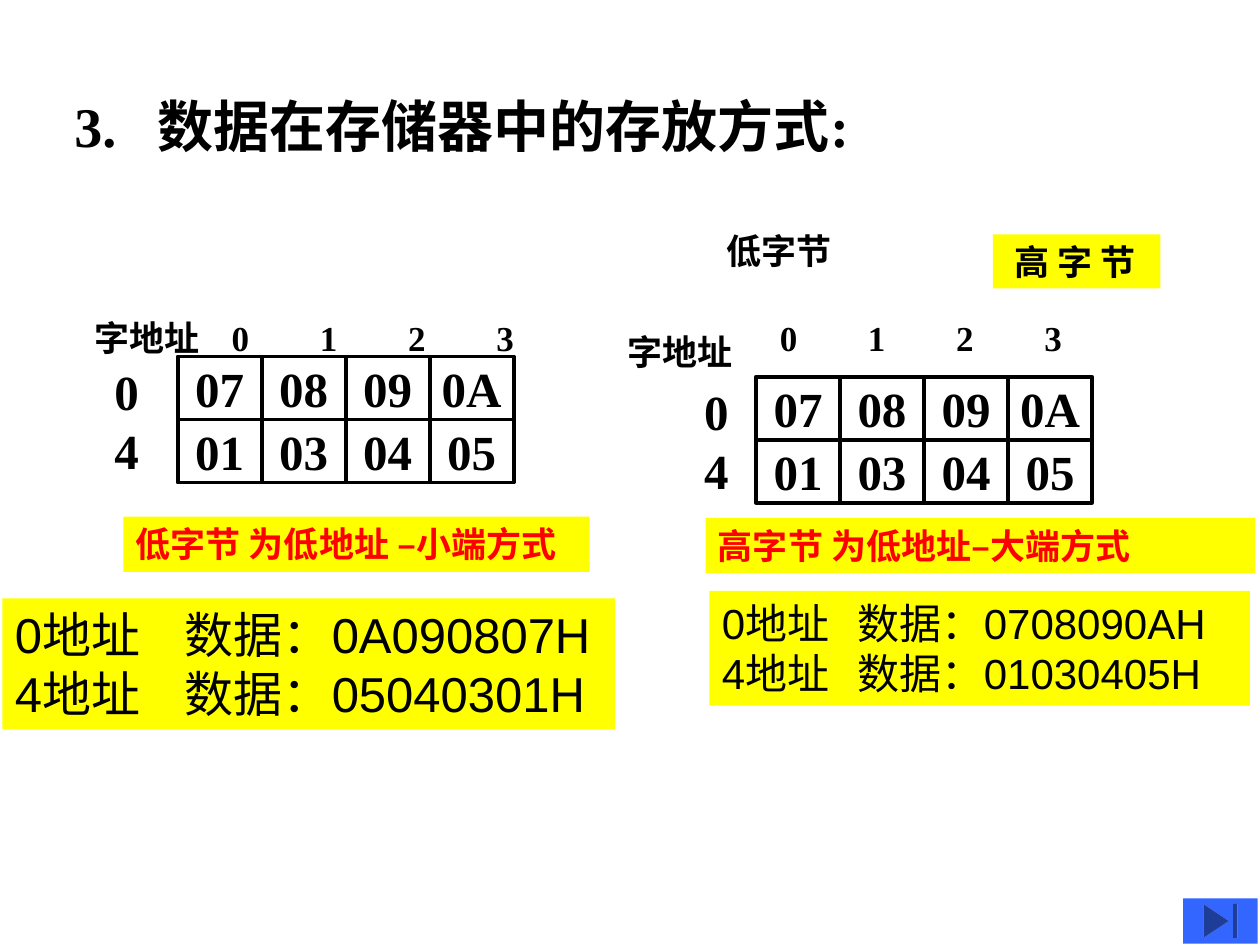
from lxml import etree
from pptx import Presentation
from pptx import util as u
from pptx.dml.color import RGBColor
from pptx.enum import shapes, text
from pptx.oxml import ns

BLACK, RED, YELLOW, BLUE = "000000", "FF0000", "FFFF00", "3366FF"


def color(value):
    return RGBColor.from_string(value)


def apply(target, values):
    for name, value in values.items():
        setattr(target, name, value)


class SlideBuilder:
    font = {"name": "Times New Roman", "size": u.Pt(20), "bold": True}

    def __init__(self, slide):
        self.slide = slide

    def fill_text(self, shape, lines, ink=BLACK, tabs=(), align=text.PP_ALIGN.LEFT,
                  frame=None, **font):
        text_frame = shape.text_frame
        apply(text_frame, {
            "word_wrap": True,
            "auto_size": text.MSO_AUTO_SIZE.NONE,
            "vertical_anchor": text.MSO_ANCHOR.TOP,
            **(frame or {}),
        })
        text_frame.text = "\n".join(lines)
        for paragraph in text_frame.paragraphs:
            paragraph.alignment = align
            if tabs:
                properties = paragraph._p.get_or_add_pPr()
                tab_list = etree.SubElement(properties, ns.qn("a:tabLst"))
                for position in tabs:
                    etree.SubElement(tab_list, ns.qn("a:tab"),
                                     pos=str(u.Inches(position)), algn="l")
            apply(paragraph.font, {**self.font, **font})
            paragraph.font.color.rgb = color(ink)

    def title(self, box, line, **style):
        shape = self.slide.shapes.title
        apply(shape, dict(zip(("left", "top", "width", "height"), map(u.Inches, box))))
        self.fill_text(shape, [line], **style)

    def label(self, box, *lines, **style):
        shape = self.slide.shapes.add_textbox(*map(u.Inches, box))
        self.fill_text(shape, lines, **style)

    def shape(self, kind, box, fill=None, line=None):
        shape = self.slide.shapes.add_shape(kind, *map(u.Inches, box))
        shape.shadow.inherit = False
        if fill:
            shape.fill.solid()
            shape.fill.fore_color.rgb = color(fill)
        else:
            shape.fill.background()
        if line:
            shape.line.color.rgb = color(line)
            shape.line.width = u.Pt(2.25)
        else:
            shape.line.fill.background()
        return shape

    def highlight(self, box, *lines, **style):
        shape = self.shape(shapes.MSO_SHAPE.RECTANGLE, box, fill=YELLOW)
        self.fill_text(shape, lines, **style)

    def memory_grid(self, left, top, rows):
        width, height = 2 / 3, 0.5
        for row, values in enumerate(rows):
            for column, value in enumerate(values):
                box = (left + column * width, top + row * height, width, height)
                cell = self.shape(shapes.MSO_SHAPE.RECTANGLE, box, line=BLACK)
                self.fill_text(cell, [value], align=text.PP_ALIGN.CENTER, size=u.Pt(28),
                               frame={"word_wrap": False,
                                      "vertical_anchor": text.MSO_ANCHOR.MIDDLE})

    def byte_offsets(self, left, heading, first_tab):
        self.label((left, 2.46, 3.91, 0.43), "\t".join([heading, *"0123"]),
                   tabs=[first_tab + 0.7 * byte for byte in range(4)])


def main():
    presentation = Presentation()
    presentation.slide_width = u.Inches(10)
    presentation.slide_height = u.Inches(7.5)
    builder = SlideBuilder(presentation.slides.add_slide(presentation.slide_layouts[5]))

    builder.title((0.49, 0.68, 6.32, 0.64), "3.\t数据在存储器中的存放方式:",
                  tabs=[0.66], size=u.Pt(32), frame={"word_wrap": False})

    rows = [("07", "08", "09", "0A"), ("01", "03", "04", "05")]
    for grid_left, grid_top, address_left in [(1.41, 2.83, 0.81), (6, 2.99, 5.49)]:
        builder.memory_grid(grid_left, grid_top, rows)
        builder.label((address_left, grid_top - 0.01, 0.4, 1.03), "0", "4",
                      size=u.Pt(28), frame={"word_wrap": False})
    builder.byte_offsets(0.65, "字地址", 1.09)
    builder.byte_offsets(5.05, "", 1.04)

    builder.label((4.88, 2.57, 1.04, 0.43), "字地址", frame={"word_wrap": False})
    builder.label((5.67, 1.77, 1.33, 0.43), "低字节")
    builder.highlight((7.88, 1.86, 1.33, 0.43), "高 字 节",
                      frame={"margin_left": u.Inches(0.17)})

    builder.highlight((0.98, 4.1, 3.7, 0.44), "低字节 为低地址 –小端方式", ink=RED)
    builder.highlight((5.6, 4.11, 4.36, 0.44), "高字节 为低地址–大端方式", ink=RED)

    plain = {"name": "Arial", "bold": False}
    builder.highlight((0.02, 4.75, 4.86, 1.04),
                      "0地址\t数据：0A090807H", "4地址\t数据：05040301H",
                      tabs=[1.35], size=u.Pt(28), **plain)
    builder.highlight((5.63, 4.69, 4.29, 0.91),
                      "0地址\t数据：0708090AH", "4地址\t数据：01030405H",
                      tabs=[1.08], size=u.Pt(24), **plain)

    builder.shape(shapes.MSO_SHAPE.ACTION_BUTTON_END, (9.39, 7.13, 0.59, 0.36), fill=BLUE)
    presentation.save("out.pptx")


if __name__ == "__main__":
    main()
